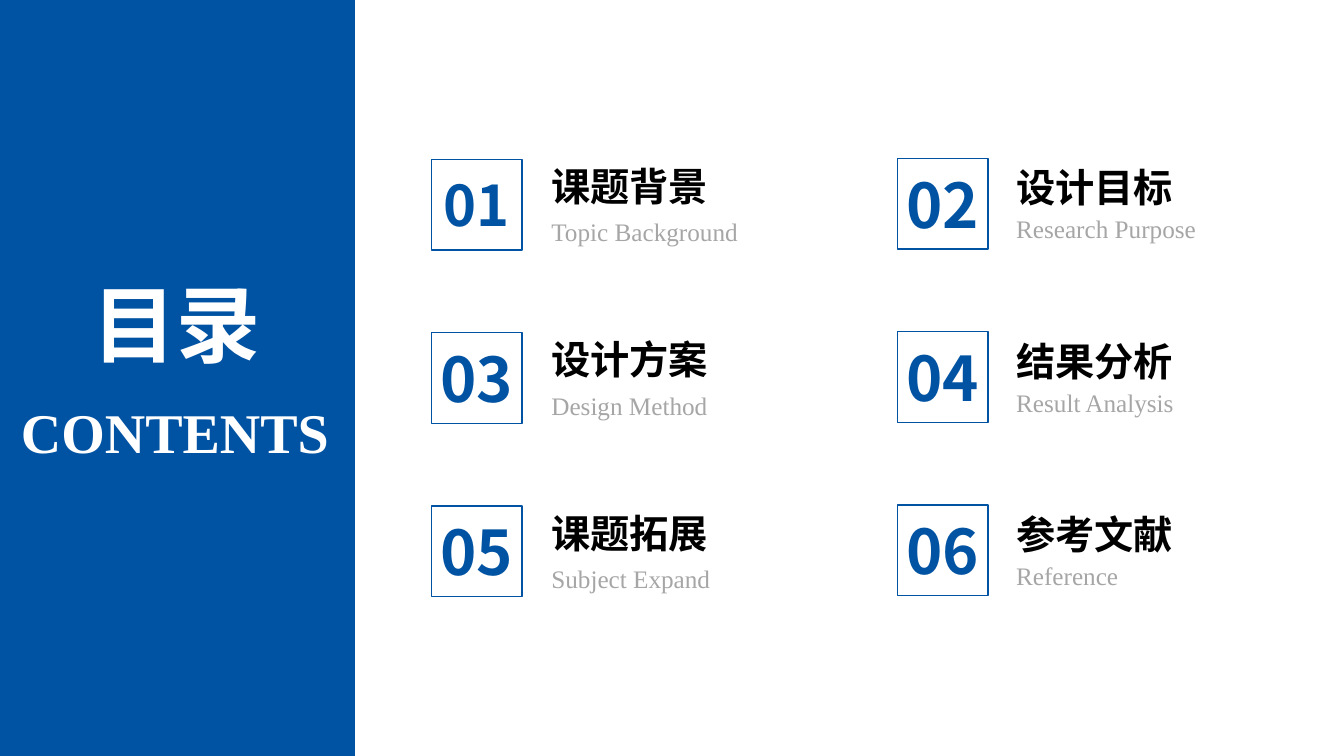
from lxml.etree import SubElement
from pptx import Presentation
from pptx.dml.color import RGBColor
from pptx.enum.shapes import MSO_SHAPE
from pptx.enum.text import MSO_ANCHOR, MSO_AUTO_SIZE, PP_ALIGN
from pptx.oxml.ns import qn
from pptx.util import Inches, Pt

BLUE = RGBColor(0x00, 0x53, 0xA3)
WHITE = RGBColor(0xFF, 0xFF, 0xFF)
BLACK = RGBColor(0x00, 0x00, 0x00)
GREY = RGBColor(0xA6, 0xA6, 0xA6)
SANS = "Noto Sans CJK SC"
SERIF = "Times New Roman"


def write(shape, text, size, face, color, bold=True, align=PP_ALIGN.CENTER):
    """Put one styled, vertically centred line of text in a shape."""
    frame = shape.text_frame
    frame.text = text
    frame.auto_size = MSO_AUTO_SIZE.NONE
    frame.vertical_anchor = MSO_ANCHOR.MIDDLE
    frame.word_wrap = True
    line = frame.paragraphs[0]
    line.alignment = align
    line.line_spacing = 1.0
    font = line.font
    font.size, font.bold, font.name = Pt(size), bold, face
    font.color.rgb = color
    # East Asian glyphs take their font from a:ea
    props = line._p.find(".//" + qn("a:defRPr"))
    SubElement(props, qn("a:ea")).set("typeface", face)


def add_box(left, top, width, height):
    """Add a plain rectangle without fill, line or shadow."""
    box = slide.shapes.add_shape(MSO_SHAPE.RECTANGLE, Inches(left), Inches(top),
                                 Inches(width), Inches(height))
    box.shadow.inherit = False
    box.fill.background()
    box.line.fill.background()
    return box


deck = Presentation()
deck.slide_width, deck.slide_height = Inches(13.33), Inches(7.5)
slide = deck.slides.add_slide(deck.slide_layouts[5])

# Blue side panel, placed behind the title
panel = add_box(0, 0, 3.52, 7.5)
panel.fill.solid()
panel.fill.fore_color.rgb = BLUE
title = slide.shapes.title
title.element.addprevious(panel.element)

title.left, title.top = Inches(0.48), Inches(2.65)
title.width, title.height = Inches(2.54), Inches(1.1)
write(title, "目录", 60, SANS, WHITE)

label = slide.shapes.add_textbox(0, Inches(3.89), Inches(3.47), Inches(0.77))
write(label, "CONTENTS", 40, SERIF, WHITE)

# Chapters run across two columns, then down three rows
chapters = [
    ("课题背景", "Topic Background"), ("设计目标", "Research Purpose"),
    ("设计方案", "Design Method"), ("结果分析", "Result Analysis"),
    ("课题拓展", "Subject Expand"), ("参考文献", "Reference"),
]
# Square left, text left, first top, heading and caption offsets
columns = [(4.28, 5.37, 1.58, -0.02, 0.52), (8.9, 9.98, 1.57, 0, 0.5)]
PITCH = 1.72

for index, (name, gloss) in enumerate(chapters):
    row, col = divmod(index, 2)
    left, indent, first, rise, drop = columns[col]
    top = first + row * PITCH

    square = add_box(left, top, 0.9, 0.9)
    square.line.color.rgb = BLUE
    square.line.width = Pt(1)
    write(square, f"{index + 1:02}", 40 if index == 0 else 44, SANS, BLUE)
    square.text_frame.margin_left = square.text_frame.margin_right = 0

    head = slide.shapes.add_textbox(Inches(indent), Inches(top + rise),
                                    Inches(2.62), Inches(0.57))
    write(head, name, 28, SANS, BLACK, align=PP_ALIGN.LEFT)
    note = slide.shapes.add_textbox(Inches(indent), Inches(top + drop),
                                    Inches(2.62), Inches(0.4))
    write(note, gloss, 18, SERIF, GREY, bold=False, align=PP_ALIGN.LEFT)

deck.save("out.pptx")
